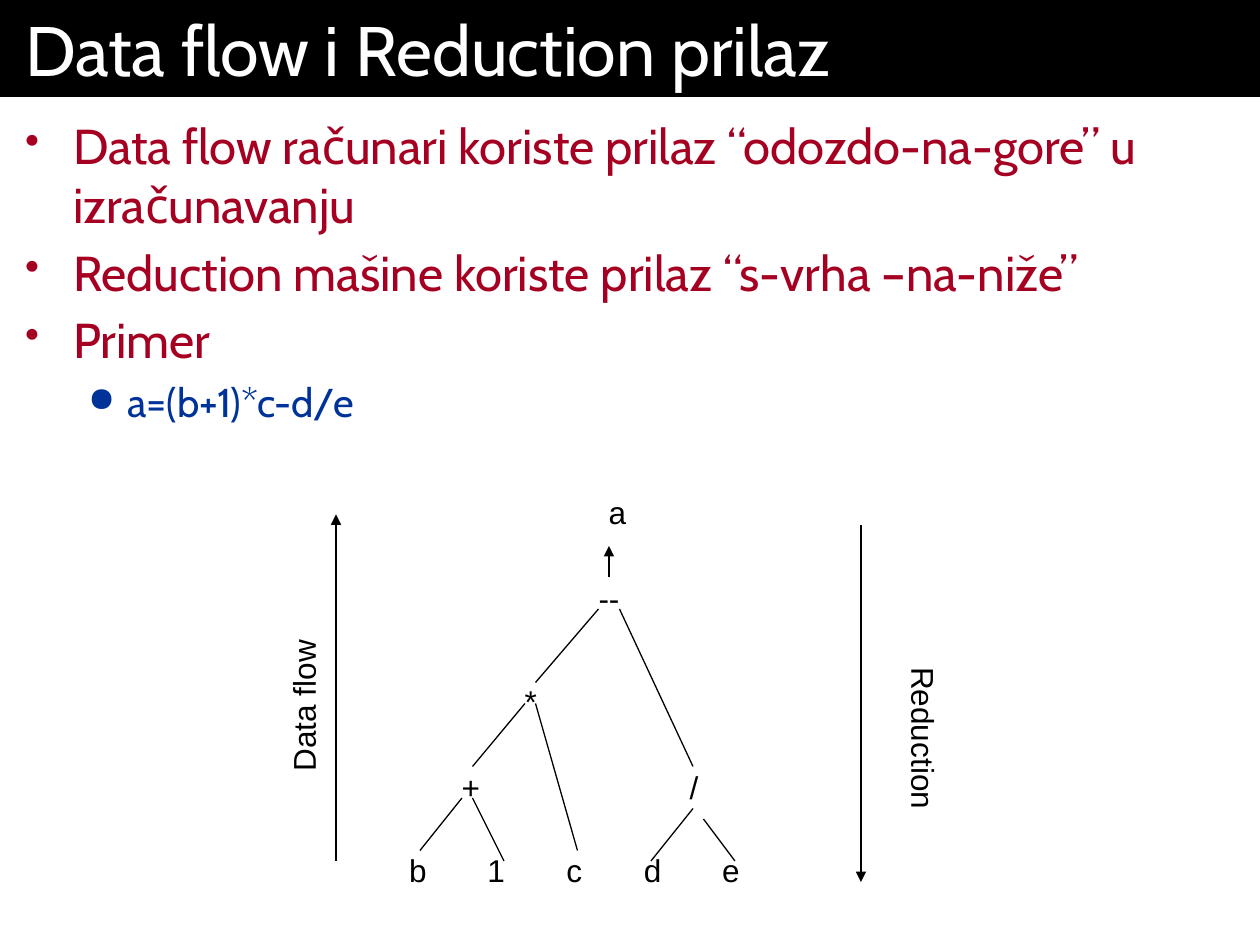
"""Build a slide on data flow and reduction evaluation with an expression tree."""
from dataclasses import dataclass

from lxml import etree
from pptx import Presentation
from pptx.dml.color import RGBColor
from pptx.enum.shapes import MSO_CONNECTOR
from pptx.enum.text import MSO_ANCHOR, MSO_AUTO_SIZE, PP_ALIGN
from pptx.oxml.ns import qn
from pptx.util import Emu, Inches, Pt

STRAIGHT = MSO_CONNECTOR.STRAIGHT
TOP, MIDDLE = MSO_ANCHOR.TOP, MSO_ANCHOR.MIDDLE
LEFT, CENTER = PP_ALIGN.LEFT, PP_ALIGN.CENTER
NO_FIT = MSO_AUTO_SIZE.NONE
WIDTH, HEIGHT = Inches(10), Inches(7.5)
COLS, ROWS = 120, 90
TITLE_ROWS = 9.24


@dataclass(frozen=True)
class Theme:
    """Colours, fonts and type sizes."""
    black: str = "000000"
    white: str = "FFFFFF"
    red: str = "A50021"
    blue: str = "003399"
    text_font: str = "Cabin"
    label_font: str = "Arial"
    title_size: int = 40
    body_size: int = 28
    sub_size: int = 23
    label_size: int = 18
    line_width: float = 0.75


@dataclass(frozen=True)
class Bullet:
    """A bulleted paragraph."""
    text: str
    color: str
    size: int
    char: str = "•"
    level: int = 0
    margin: float = 0.38
    hang: float = 0.38


@dataclass(frozen=True)
class Label:
    """A label centred on a grid point."""
    text: str
    col: float
    row: float
    w: float = 4.8
    h: float = 4.8
    vert: str = "horz"


@dataclass(frozen=True)
class Edge:
    """A straight line between two grid points."""
    x1: float
    y1: float
    x2: float
    y2: float
    arrow: bool = False


THEME = Theme()
TITLE = "Data flow i Reduction prilaz"
BULLETS = [
    Bullet("Data flow računari koriste prilaz “odozdo-na-gore” u izračunavanju",
           THEME.red, THEME.body_size),
    Bullet("Reduction mašine koriste prilaz “s-vrha –na-niže”", THEME.red, THEME.body_size),
    Bullet("Primer", THEME.red, THEME.body_size),
    Bullet("a=(b+1)*c-d/e", THEME.blue, THEME.sub_size, "●", 1, 0.81, 0.31),
]
LEAVES = [Label(name, 39.8 + 7.45 * i, 82.9) for i, name in enumerate("b1cde")]
OPERATORS = [
    Label("+", 44.85, 74.9),
    Label("/", 66.1, 74.9),
    Label("*", 50.55, 66.8),
    Label("--", 58, 56.9),
    Label("a", 58.8, 48.8),
]
DIRECTIONS = [
    Label("Data flow", 28.9, 67.2, h=15, vert="vert270"),
    Label("Reduction", 88, 70.3, h=15, vert="vert"),
]
EDGES = [
    Edge(40, 81, 44, 76),
    Edge(48, 82, 45, 76),
    Edge(62, 82, 66, 77),
    Edge(70, 82, 67, 78),
    Edge(45, 73, 50, 67),
    Edge(66, 73, 59, 58),
    Edge(51, 65, 57, 58),
    Edge(55, 81, 51, 67),
    Edge(58, 55, 58, 52, arrow=True),
    Edge(32, 82, 32, 49, arrow=True),
    Edge(82, 50, 82, 84, arrow=True),
]


def gx(col: float) -> Emu:
    """Return the horizontal length of grid columns."""
    return Emu(round(WIDTH * col / COLS))


def gy(row: float) -> Emu:
    """Return the vertical length of grid rows."""
    return Emu(round(HEIGHT * row / ROWS))


def set_frame(tf, inset_x: float, inset_y: float, anchor) -> None:
    """Set wrapping, insets and anchor of a text frame."""
    tf.auto_size = NO_FIT
    tf.word_wrap = True
    tf.margin_left = tf.margin_right = Inches(inset_x)
    tf.margin_top = tf.margin_bottom = Inches(inset_y)
    tf.vertical_anchor = anchor


def write(p, text: str, *, size: int, color: str, font: str, align=LEFT) -> None:
    """Write one formatted run into a paragraph."""
    p.alignment = align
    r = p.add_run()
    r.text = text
    r.font.size = Pt(size)
    r.font.name = font
    r.font.color.rgb = RGBColor.from_string(color)


def set_bullet(p, b: Bullet) -> None:
    """Give a paragraph its indent, spacing and bullet."""
    p.level = b.level
    p.space_before = Pt(5)
    pPr = p._p.get_or_add_pPr()
    pPr.set("marL", str(Inches(b.margin)))
    pPr.set("indent", str(-Inches(b.hang)))
    clr = etree.SubElement(pPr, qn("a:buClr"))
    etree.SubElement(clr, qn("a:srgbClr"), val=b.color)
    etree.SubElement(pPr, qn("a:buSzPct"), val="85000")
    etree.SubElement(pPr, qn("a:buChar"), char=b.char)


def add_title(s) -> None:
    """Format the title placeholder as a full-width band."""
    sp = s.shapes.title
    sp.left, sp.top, sp.width, sp.height = 0, 0, WIDTH, gy(TITLE_ROWS)
    sp.fill.solid()
    sp.fill.fore_color.rgb = RGBColor.from_string(THEME.black)
    tf = sp.text_frame
    set_frame(tf, 0.2, 0.05, MIDDLE)
    write(tf.paragraphs[0], TITLE, size=THEME.title_size, color=THEME.white,
          font=THEME.text_font)


def add_body(s, bullets: list[Bullet]) -> None:
    """Add the bulleted text below the title."""
    sp = s.shapes.add_textbox(0, gy(TITLE_ROWS), WIDTH, gy(ROWS - TITLE_ROWS))
    tf = sp.text_frame
    set_frame(tf, 0.2, 0.15, TOP)
    for i, b in enumerate(bullets):
        p = tf.add_paragraph() if i else tf.paragraphs[0]
        set_bullet(p, b)
        write(p, b.text, size=b.size, color=b.color, font=THEME.text_font)


def add_label(s, label: Label) -> None:
    """Add a text box centred on its grid point."""
    sp = s.shapes.add_textbox(gx(label.col - label.w / 2), gy(label.row - label.h / 2),
                              gx(label.w), gy(label.h))
    tf = sp.text_frame
    set_frame(tf, 0, 0, MIDDLE)
    tf._txBody.bodyPr.set("vert", label.vert)
    write(tf.paragraphs[0], label.text, size=THEME.label_size, color=THEME.black,
          font=THEME.label_font, align=CENTER)


def add_edge(s, edge: Edge) -> None:
    """Add a line, with an arrowhead at its end if asked."""
    c = s.shapes.add_connector(STRAIGHT, gx(edge.x1), gy(edge.y1), gx(edge.x2), gy(edge.y2))
    c.line.width = Pt(THEME.line_width)
    c.line.color.rgb = RGBColor.from_string(THEME.black)
    if edge.arrow:
        etree.SubElement(c.line._get_or_add_ln(), qn("a:tailEnd"), type="triangle")
    etree.SubElement(c._element.spPr, qn("a:effectLst"))


def main() -> None:
    """Build and save the slide."""
    prs = Presentation()
    prs.slide_width, prs.slide_height = WIDTH, HEIGHT
    s = prs.slides.add_slide(prs.slide_layouts[5])
    add_title(s)
    add_body(s, BULLETS)
    for edge in EDGES:
        add_edge(s, edge)
    for label in LEAVES + OPERATORS + DIRECTIONS:
        add_label(s, label)
    prs.save("out.pptx")


if __name__ == "__main__":
    main()
